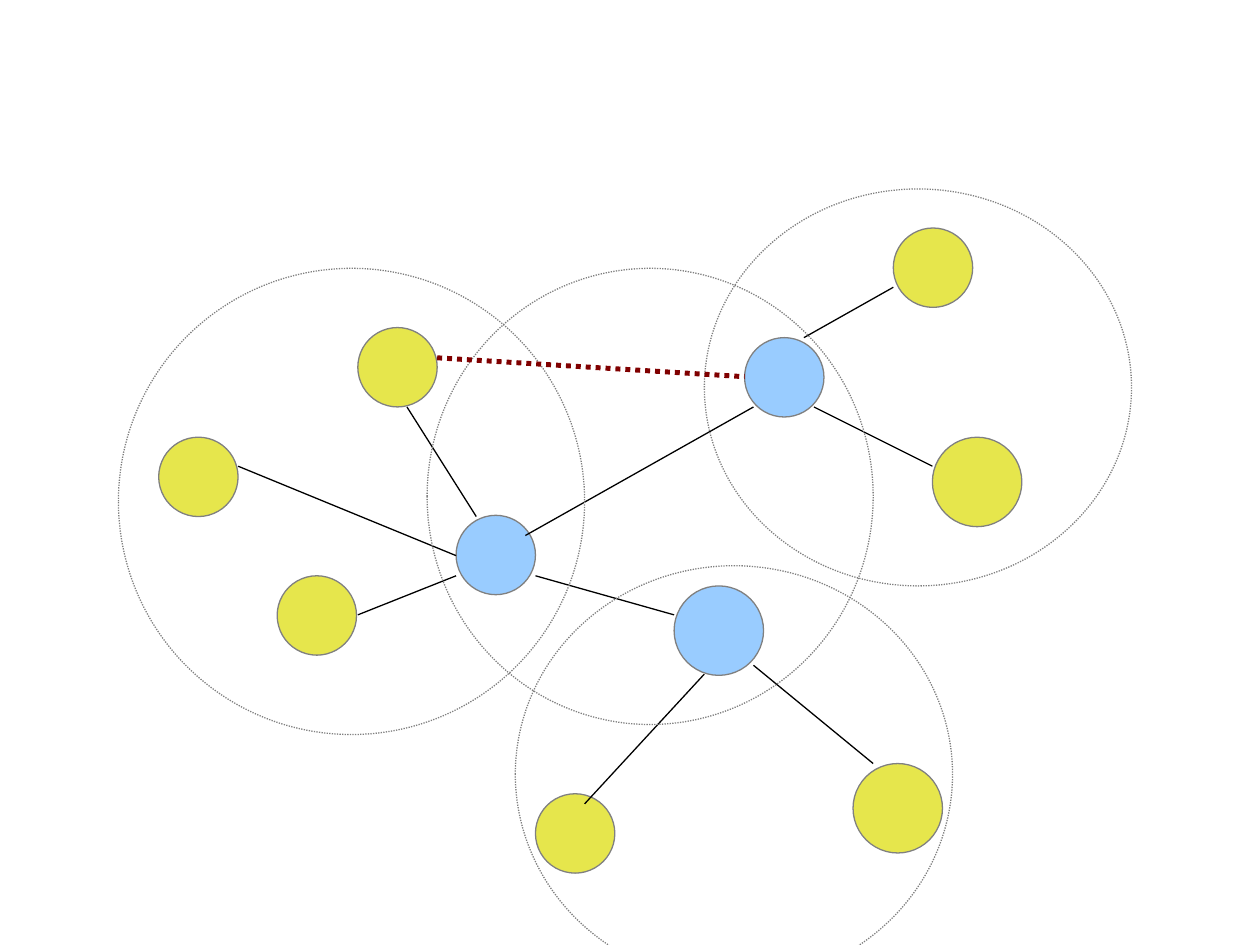
"""Build a slide of clustered network nodes with overlapping radio ranges."""
import pptx
import pptx.dml.color
import pptx.enum.dml
import pptx.enum.shapes
import pptx.oxml
import pptx.oxml.ns
import pptx.util

Inches = pptx.util.Inches
COLORS = {
    "hub": "99CCFF",
    "member": "E6E64C",
    "outline": "808080",
    "link": "000000",
    "interference": "800000",
}


def add_ellipse(left, top, width, height, fill=None):
    ellipse = slide.shapes.add_shape(
        pptx.enum.shapes.MSO_SHAPE.OVAL,
        Inches(left), Inches(top), Inches(width), Inches(height))
    ellipse.shadow.inherit = False
    ellipse.line.color.rgb = pptx.dml.color.RGBColor.from_string(COLORS["outline"])
    ellipse.line.width = pptx.util.Pt(0.75)
    if fill:
        ellipse.fill.solid()
        ellipse.fill.fore_color.rgb = pptx.dml.color.RGBColor.from_string(COLORS[fill])
    else:
        ellipse.fill.background()
        ellipse.line.dash_style = pptx.enum.dml.MSO_LINE.ROUND_DOT


def add_link(x1, y1, x2, y2, color="link", width=0.75):
    link = slide.shapes.add_connector(
        pptx.enum.shapes.MSO_CONNECTOR.STRAIGHT,
        Inches(x1), Inches(y1), Inches(x2), Inches(y2))
    link.line.color.rgb = pptx.dml.color.RGBColor.from_string(COLORS[color])
    link.line.width = pptx.util.Pt(width)
    properties = link._element.spPr
    properties.append(pptx.oxml.parse_xml(
        f'<a:effectLst {pptx.oxml.ns.nsdecls("a")}/>'))
    return link


presentation = pptx.Presentation()
presentation.slide_width = Inches(10)
presentation.slide_height = Inches(7.5)
slide = presentation.slides.add_slide(presentation.slide_layouts[6])

SMALL, LARGE = 0.63, 0.71
nodes = [
    (3.62, 4.09, SMALL, "hub"),
    (2.84, 2.6, SMALL, "member"),
    (1.26, 3.47, SMALL, "member"),
    (2.2, 4.57, SMALL, "member"),
    (5.91, 2.68, SMALL, "hub"),
    (7.09, 1.81, SMALL, "member"),
    (7.4, 3.47, LARGE, "member"),
    (5.35, 4.65, LARGE, "hub"),
    (4.25, 6.3, SMALL, "member"),
    (6.77, 6.06, LARGE, "member"),
]
for left, top, diameter, role in nodes:
    add_ellipse(left, top, diameter, diameter, role)

links = [
    (2.84, 4.88, 3.62, 4.57),
    (3.78, 4.1, 3.23, 3.23),
    (3.62, 4.41, 1.89, 3.7),
    (4.25, 4.57, 5.35, 4.88),
    (5.59, 5.35, 4.64, 6.38),
    (5.98, 5.28, 6.93, 6.06),
    (4.17, 4.25, 5.98, 3.23),
    (6.38, 2.68, 7.09, 2.28),
    (6.46, 3.23, 7.4, 3.7),
]
for ends in links:
    add_link(*ends)

ranges = [
    (0.94, 2.13, 3.7, 3.7),
    (5.59, 1.5, 3.39, 3.15),
    (4.09, 4.49, 3.47, 3.31),
    (3.39, 2.13, 3.54, 3.62),
]
for bounds in ranges:
    add_ellipse(*bounds)

interference = add_link(3.47, 2.84, 5.91, 2.99, "interference", 2.83)
interference.line.dash_style = pptx.enum.dml.MSO_LINE.ROUND_DOT

presentation.save("out.pptx")
